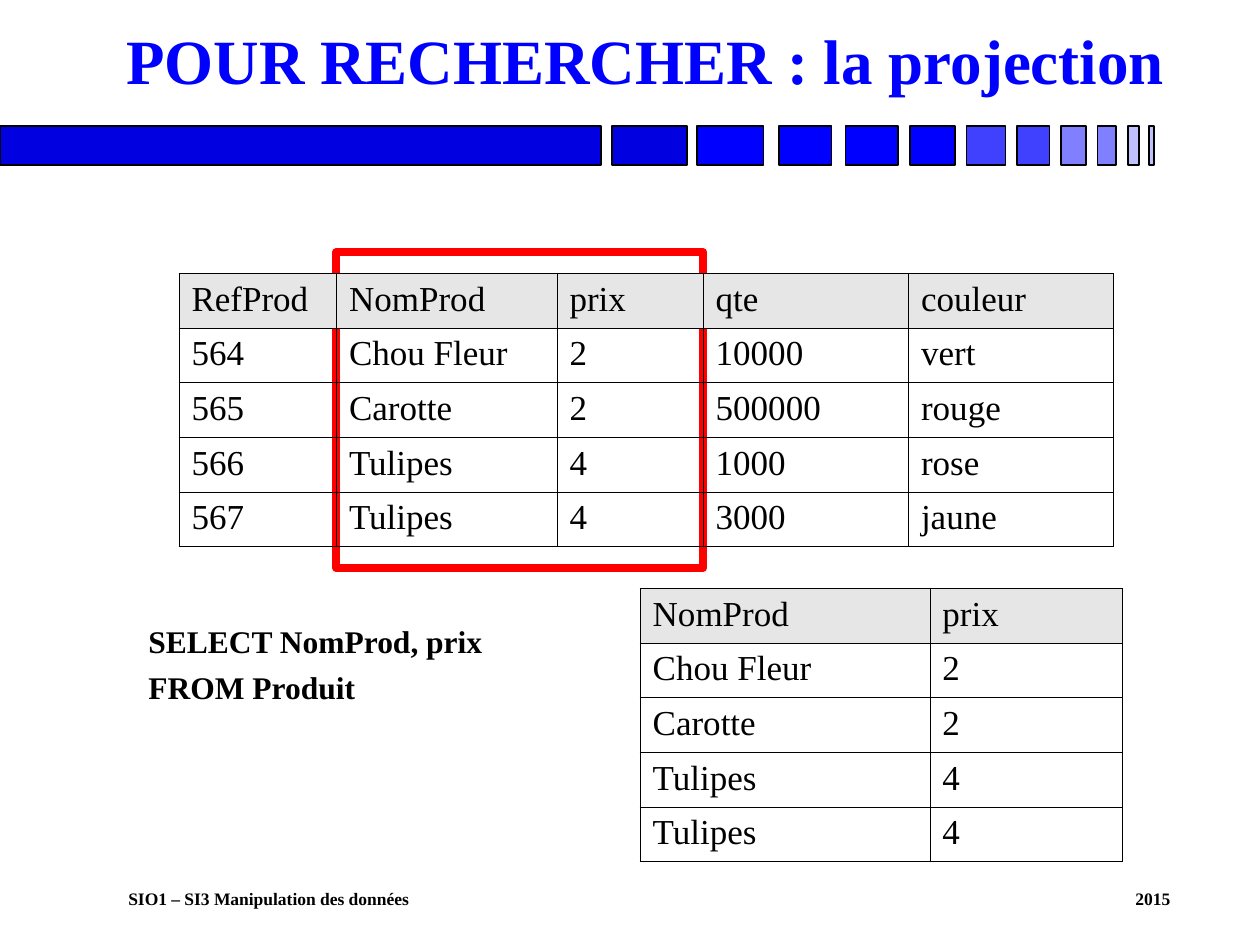
from pptx import Presentation, util as u
from pptx.dml.color import RGBColor
from pptx.enum import shapes, text
from pptx.oxml import parse_xml
from pptx.oxml.ns import nsdecls

# Content
TITLE = "POUR RECHERCHER : la projection"
QUERY = ["SELECT NomProd, prix", "FROM Produit"]
FOOTER = "SIO1 – SI3 Manipulation des données\t2015"
PRODUCTS = [
    ("RefProd", "NomProd", "prix", "qte", "couleur"),
    ("564", "Chou Fleur", "2", "10000", "vert"),
    ("565", "Carotte", "2", "500000", "rouge"),
    ("566", "Tulipes", "4", "1000", "rose"),
    ("567", "Tulipes", "4", "3000", "jaune"),
]
KEPT = slice(1, 3)  # columns kept by the projection
PROJECTION = [row[KEPT] for row in PRODUCTS]

# Layout in inches
COLORS = {"ink": "000000", "paper": "FFFFFF", "title": "0000FF", "frame": "FF0000",
          "header": "E6E6E6", "deep": "0000E0", "blue": "0000FF", "mid": "4040FF",
          "soft": "8080FF", "pale": "C0C0FF"}
FONT = "Times New Roman"
BAND_TOP, BAND_HEIGHT = 1, 0.31
BAND = [(0, 4.77, "deep"), (4.86, 0.59, "deep"), (5.53, 0.53, "blue"),
        (6.18, 0.42, "blue"), (6.71, 0.42, "blue"), (7.22, 0.36, "blue"),
        (7.67, 0.31, "mid"), (8.07, 0.26, "mid"), (8.42, 0.2, "soft"),
        (8.71, 0.15, "soft"), (8.95, 0.09, "pale"), (9.12, 0.04, "pale")]
PRODUCTS_AT, PRODUCT_COLS = (1.42, 2.17), [1.25, 1.75, 1.16, 1.63, 1.63]
PROJECTION_AT, PROJECTION_COLS = (5.08, 4.67), [2.3, 1.53]
ROW_HEIGHT = 2.17 / 5
FRAME_MARGIN = 0.17
FOOTER_TAB = 8.27

prs = Presentation()
prs.slide_width, prs.slide_height = u.Inches(10), u.Inches(7.5)
slide = prs.slides.add_slide(prs.slide_layouts[6])


def color(name):
    return RGBColor.from_string(COLORS[name])


def write(frame, lines, size, ink="ink", bold=False, align=None,
          spacing=None, gap=0, tab=None):
    for i, line in enumerate(lines):
        paragraph = frame.paragraphs[0] if i == 0 else frame.add_paragraph()
        paragraph.text = line
        paragraph.alignment = align
        paragraph.line_spacing = spacing
        if i:
            paragraph.space_before = u.Pt(gap)
        if tab:
            paragraph._p.get_or_add_pPr().append(parse_xml(
                f'<a:tabLst {nsdecls("a")}><a:tab pos="{u.Inches(tab)}" algn="r"/></a:tabLst>'))
        font = paragraph.font
        font.name, font.size, font.bold = FONT, u.Pt(size), bold
        font.color.rgb = color(ink)


def add_text(box, lines, anchor=text.MSO_ANCHOR.TOP, **style):
    frame = slide.shapes.add_textbox(*map(u.Inches, box)).text_frame
    frame.word_wrap = True
    frame.vertical_anchor = anchor
    write(frame, lines, **style)


def add_box(box, fill, line, width):
    rect = slide.shapes.add_shape(shapes.MSO_SHAPE.RECTANGLE, *map(u.Inches, box))
    rect.shadow.inherit = False
    rect.fill.solid()
    rect.fill.fore_color.rgb = color(fill)
    rect.line.color.rgb = color(line)
    rect.line.width = u.Pt(width)


def add_grid(origin, widths, rows):
    size = (sum(widths), ROW_HEIGHT * len(rows))
    table = slide.shapes.add_table(len(rows), len(widths),
                                   *map(u.Inches, origin + size)).table
    table.horz_banding = False
    for column, width in zip(table.columns, widths):
        column.width = u.Inches(width)
    for r, row in enumerate(rows):
        table.rows[r].height = u.Inches(ROW_HEIGHT)
        for c, value in enumerate(row):
            cell = table.cell(r, c)
            write(cell.text_frame, [value], size=20)
            # Borders come before the fill in the cell properties
            for side in ("lnL", "lnR", "lnT", "lnB"):
                cell._tc.get_or_add_tcPr().append(parse_xml(
                    f'<a:{side} {nsdecls("a")} w="{u.Pt(0.45)}"><a:solidFill>'
                    f'<a:srgbClr val="{COLORS["ink"]}"/></a:solidFill></a:{side}>'))
            if r == 0:
                cell.fill.solid()
                cell.fill.fore_color.rgb = color("header")
            else:
                cell.fill.background()


# Decorative band
for left, width, shade in BAND:
    add_box((left, BAND_TOP, width, BAND_HEIGHT), shade, "ink", 1)

# Footer and title
add_text((0.92, 7, 8.83, 0.26), [FOOTER], size=10, bold=True, tab=FOOTER_TAB)
add_text((0.42, 0.23, 8.92, 0.6), [TITLE], anchor=text.MSO_ANCHOR.BOTTOM, size=36,
         ink="title", bold=True, align=text.PP_ALIGN.RIGHT, spacing=0.9)

# Red frame around the kept columns, behind the product table
left, top = PRODUCTS_AT
add_box((left + sum(PRODUCT_COLS[:KEPT.start]), top - FRAME_MARGIN,
         sum(PRODUCT_COLS[KEPT]), ROW_HEIGHT * len(PRODUCTS) + 2 * FRAME_MARGIN),
        "paper", "frame", 4.5)

# Query and tables
add_text((1.08, 4.92, 3.83, 1.17), QUERY, size=18, bold=True, spacing=0.9, gap=6.8)
add_grid(PRODUCTS_AT, PRODUCT_COLS, PRODUCTS)
add_grid(PROJECTION_AT, PROJECTION_COLS, PROJECTION)

prs.save("out.pptx")
